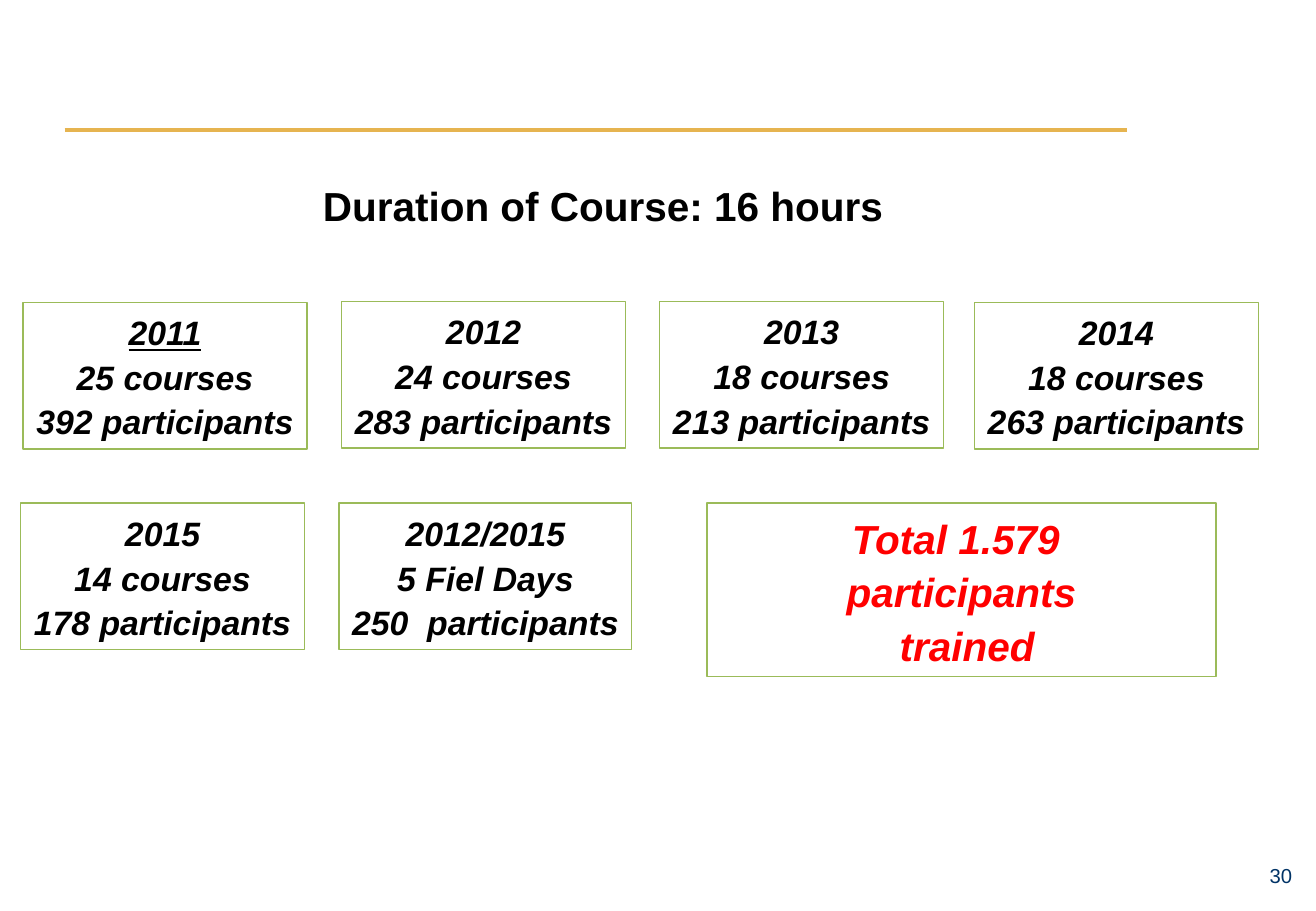
from lxml import etree
from pptx import Presentation
from pptx import util as u
from pptx.dml.color import RGBColor
from pptx.enum import shapes, text
from pptx.oxml.ns import qn

Cm = u.Cm
ALIGN = text.PP_ALIGN
CARD_HEIGHT = 3.07
LOWER_ROW = 10.52

# left, top, width, lines
YEARS = [
    (0.48, 6.32, 5.94, ["2011", "25 courses", "392 participants"]),
    (7.14, 6.3, 5.94, ["2012", "24 courses", "283 participants"]),
    (13.79, 6.3, 5.94, ["2013", "18 courses", "213 participants"]),
    (20.37, 6.32, 5.94, ["2014", "18 courses", "263 participants"]),
    (0.43, LOWER_ROW, 5.94, ["2015", "14 courses", "178 participants"]),
    (7.09, LOWER_ROW, 6.12, ["2012/2015", "5 Fiel Days", "250  participants"]),
]


def colour(value):
    return RGBColor.from_string(value)


def write_lines(frame, lines, size, hue, align, spacing=1.1, bold=True, italic=False):
    """Write one paragraph per line and return the runs."""
    runs = []
    for number, line in enumerate(lines):
        paragraph = frame.add_paragraph() if number else frame.paragraphs[0]
        paragraph.alignment = align
        paragraph.line_spacing = spacing
        run = paragraph.add_run()
        run.text = line
        run.font.name = "Arial"
        run.font.size = u.Pt(size)
        run.font.bold = bold
        run.font.italic = italic
        run.font.color.rgb = colour(hue)
        runs.append(run)
    return runs


def add_label(slide, box, line, size, hue, align, **style):
    frame = slide.shapes.add_textbox(*map(Cm, box)).text_frame
    frame.word_wrap = True
    write_lines(frame, [line], size, hue, align, **style)


def add_card(slide, box, lines, size=20, hue="000000", wrap=False):
    card = slide.shapes.add_shape(shapes.MSO_SHAPE.RECTANGLE, *map(Cm, box))
    card.shadow.inherit = False
    card.fill.background()
    card.line.color.rgb = colour("9BBB59")
    card.line.width = u.Pt(0.75)
    frame = card.text_frame
    frame.word_wrap = wrap
    frame.auto_size = text.MSO_AUTO_SIZE.SHAPE_TO_FIT_TEXT
    frame.vertical_anchor = text.MSO_ANCHOR.TOP
    return write_lines(frame, lines, size, hue, ALIGN.CENTER, italic=True)


def add_rule(slide, left, top, width):
    rule = slide.shapes.add_connector(
        shapes.MSO_CONNECTOR.STRAIGHT, Cm(left), Cm(top), Cm(left + width), Cm(top))
    rule.line.color.rgb = colour("E6B450")
    rule.line.width = u.Pt(2.25)
    etree.SubElement(rule._element.spPr, qn("a:effectLst"))


def add_years(slide):
    for left, top, width, lines in YEARS:
        year = add_card(slide, (left, top, width, CARD_HEIGHT), lines)[0]
        if year.text == "2011":
            year.font.underline = True


def main():
    deck = Presentation()
    deck.slide_width, deck.slide_height = Cm(27.51), Cm(19.05)
    slide = deck.slides.add_slide(deck.slide_layouts[6])
    add_rule(slide, 1.35, 2.72, 22.2)
    add_label(slide, (6.5, 3.56, 14.07, 1.4), "Duration of Course: 16 hours",
              24, "000000", ALIGN.JUSTIFY)
    add_years(slide)
    add_card(slide, (14.78, LOWER_ROW, 10.64, 3.63),
             ["Total 1.579 ", "participants", " trained"], 24, "FF0000", wrap=True)
    add_label(slide, (25.96, 17.93, 1.3, 0.76), "30", 12, "003366", ALIGN.RIGHT,
              spacing=1.0, bold=False)
    deck.save("out.pptx")


if __name__ == "__main__":
    main()
